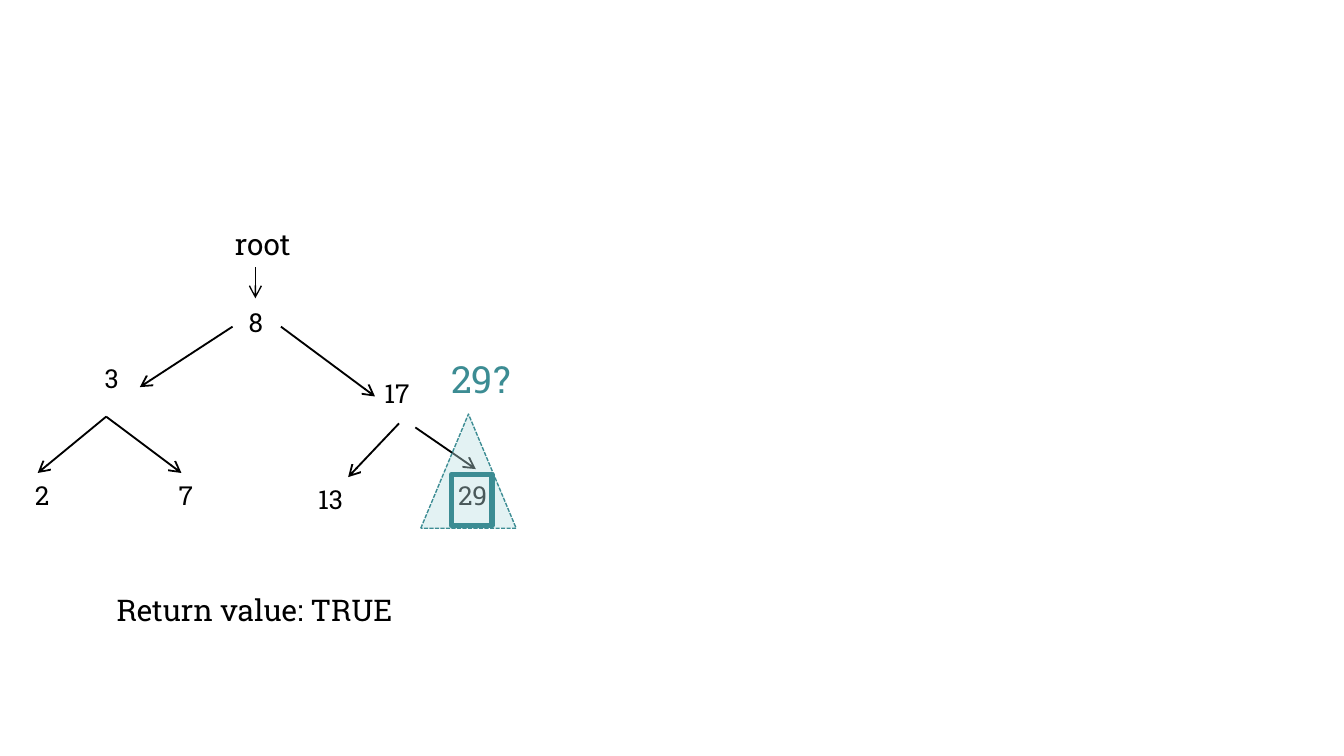
from lxml import etree
from pptx import Presentation
from pptx.dml.color import RGBColor
from pptx.enum import dml, shapes, text
from pptx.oxml import ns
from pptx.util import Pt

FONT = "Roboto Slab"
BLACK, TEAL, PALE = "000000", "3C8C93", "BBE0E3"
DIGIT_WIDTH, LABEL_HEIGHT = 13, 32.4
DIGIT_INSET, LABEL_INSET = 5, 7.2

digits = [("2", 13.7, 253.4), ("3", 51.1, 190.8), ("7", 90.7, 253.4), ("8", 128.2, 160.6)]
labels = [
    ("17", 205.9, 198.7, 26.6, 14, BLACK, 0),
    ("root", 118.8, 117.4, 49.7, 16, BLACK, LABEL_INSET),
    ("13", 163.4, 255.6, 32.4, 14, BLACK, LABEL_INSET),
    ("29", 238.3, 253.4, 36, 14, BLACK, LABEL_INSET),
    ("29?", 234.7, 187.2, 49.7, 20, TEAL, LABEL_INSET),
    ("Return value: TRUE", 55.4, 313.2, 218.2, 16, BLACK, LABEL_INSET),
]
labels += [(digit, x, y, DIGIT_WIDTH, 14, BLACK, DIGIT_INSET) for digit, x, y in digits]
arrows = [
    ((136.8, 143.3), (136.8, 159.8), 0.75),
    ((124.6, 175), (74.9, 207.4), 1),
    ((150.5, 175), (200.9, 212.4), 1),
    ((56.9, 223.2), (20.2, 253.4), 1),
    ((56.9, 223.2), (97.2, 253.4), 1),
    ((213.8, 226.8), (186.5, 255.6), 1),
    ((222.5, 229), (254.9, 251.3), 1),
]
subtree = (225.4, 221.8, 51.1, 61.2)
found = (241.9, 254.2, 21.6, 27.4)


def color(value):
    return RGBColor.from_string(value)


def add_label(slide, wording, x, y, width, size, ink, inset):
    box = slide.shapes.add_textbox(Pt(x), Pt(y), Pt(width), Pt(LABEL_HEIGHT))
    frame = box.text_frame
    frame.auto_size = text.MSO_AUTO_SIZE.NONE
    frame.word_wrap = False
    frame.margin_left = Pt(inset)
    frame.margin_right = Pt(0)
    frame.text = wording
    font = frame.paragraphs[0].runs[0].font
    font.name, font.size = FONT, Pt(size)
    font.color.rgb = color(ink)


def add_arrow(slide, start, end, weight):
    arrow = slide.shapes.add_connector(
        shapes.MSO_CONNECTOR.STRAIGHT, *(Pt(v) for v in start + end))
    arrow.line.color.rgb = color(BLACK)
    arrow.line.width = Pt(weight)
    etree.SubElement(arrow.line._get_or_add_ln(), ns.qn("a:tailEnd"), type="arrow")
    etree.SubElement(arrow._element.spPr, ns.qn("a:effectLst"))


def add_marker(slide, kind, place, weight):
    marker = slide.shapes.add_shape(kind, *(Pt(v) for v in place))
    marker.shadow.inherit = False
    marker.fill.background()
    marker.line.color.rgb = color(TEAL)
    marker.line.width = Pt(weight)
    return marker


deck = Presentation()
deck.slide_width, deck.slide_height = Pt(720), Pt(405)
slide = deck.slides.add_slide(deck.slide_layouts[6])

for label in labels:
    add_label(slide, *label)
for arrow in arrows:
    add_arrow(slide, *arrow)

triangle = add_marker(slide, shapes.MSO_SHAPE.ISOSCELES_TRIANGLE, subtree, 0.75)
triangle.line.dash_style = dml.MSO_LINE.SQUARE_DOT
triangle.fill.solid()
triangle.fill.fore_color.rgb = color(PALE)
tint = triangle._element.spPr.find(".//" + ns.qn("a:solidFill"))[0]
etree.SubElement(tint, ns.qn("a:alpha"), val="40000")

add_marker(slide, shapes.MSO_SHAPE.RECTANGLE, found, 3)

deck.save("out.pptx")
